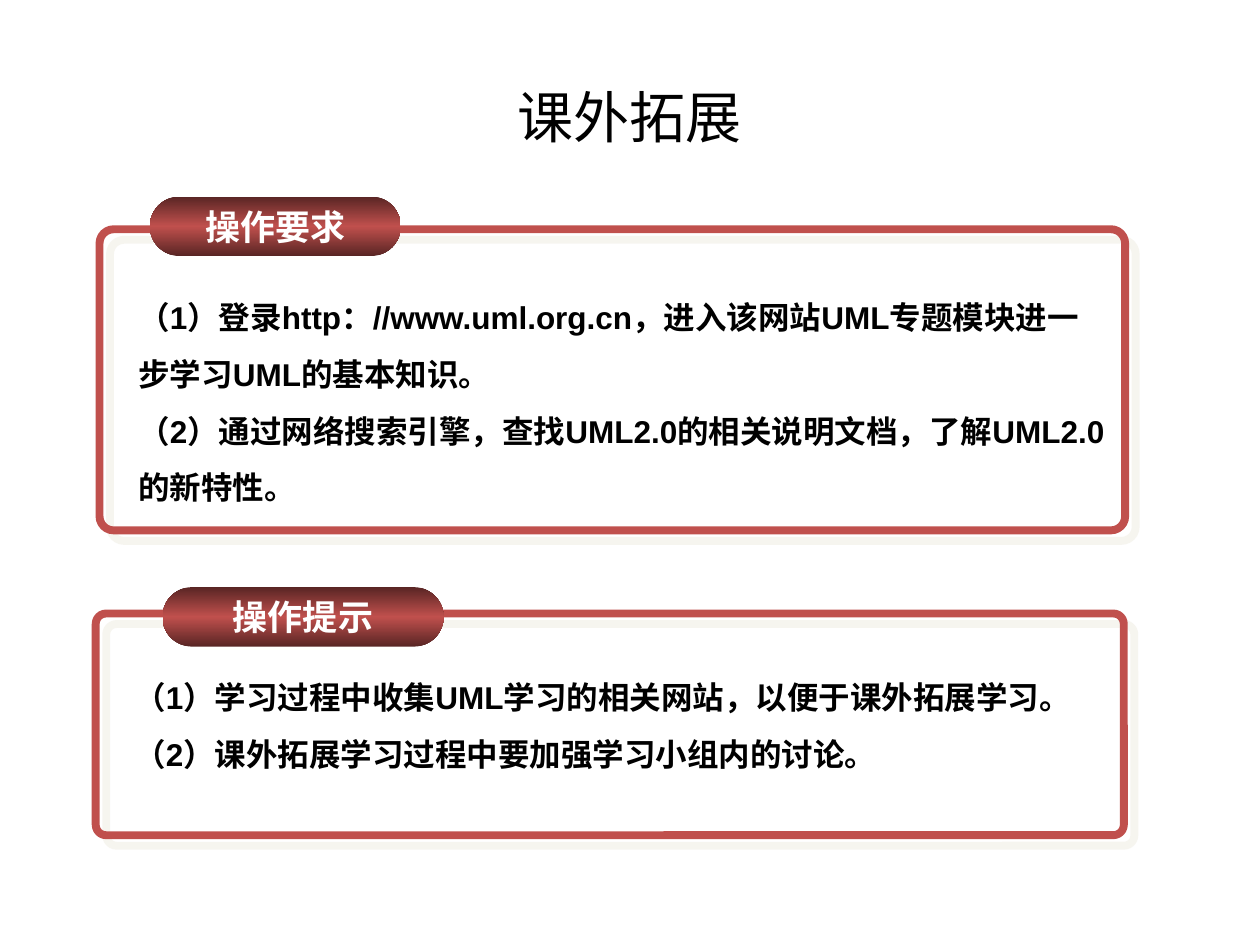
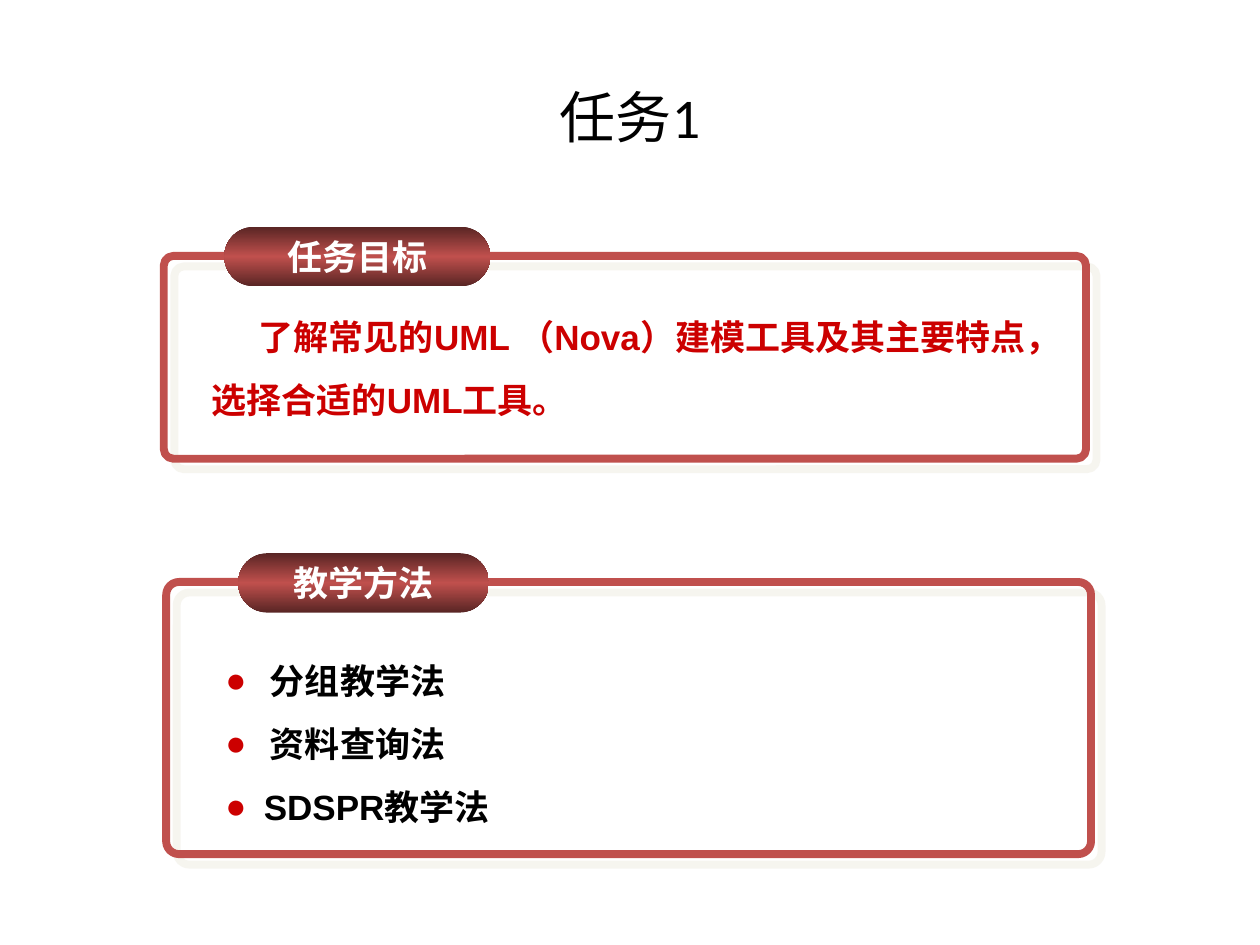
import lxml.etree
import pptx
import pptx.dml.color
import pptx.enum.shapes
import pptx.enum.text
import pptx.oxml.ns
import pptx.util

Pt = pptx.util.Pt
qn = pptx.oxml.ns.qn
CENTER = pptx.enum.text.PP_ALIGN.CENTER
MIDDLE = pptx.enum.text.MSO_ANCHOR.MIDDLE
ROUNDED = pptx.enum.shapes.MSO_SHAPE.ROUNDED_RECTANGLE


def color(value):
    return pptx.dml.color.RGBColor.from_string(value)


def add_element(parent, tag, **attributes):
    return lxml.etree.SubElement(parent, qn(tag), attributes)


def add_color(parent, value):
    return add_element(parent, "a:srgbClr", val=value)


def write_text(frame, text, size=18, font="Arial", fill="000000", bold=True,
               align=None, spacing=None, first_indent=0, hanging=None, bullet_fill=None):
    paragraph = frame.paragraphs[0]
    if paragraph.runs:
        paragraph = frame.add_paragraph()
    paragraph.alignment = align
    paragraph.line_spacing = spacing
    properties = paragraph._p.get_or_add_pPr()
    if first_indent:
        properties.set("indent", str(Pt(first_indent)))
    if hanging:
        properties.set("marL", str(Pt(hanging)))
        properties.set("indent", str(-Pt(hanging)))
        add_color(add_element(properties, "a:buClr"), bullet_fill)
        add_element(properties, "a:buFont", typeface="Arial")
        add_element(properties, "a:buChar", char="●")
    run = paragraph.add_run()
    run.text = text
    run.font.size = Pt(size)
    run.font.bold = bold
    run.font.name = font
    run.font.color.rgb = color(fill)
    add_element(run._r.get_or_add_rPr(), "a:ea", typeface="Noto Sans CJK SC")


class Deck:
    accent = "C0504D"
    accent_dark = "592524"
    shadow = "EEECE1"
    highlight = "CC0000"
    pill_height = 34

    def __init__(self):
        self.presentation = pptx.Presentation()
        self.presentation.slide_width = Pt(720)
        self.presentation.slide_height = Pt(540)
        self.slide = None

    def add_slide(self, title):
        self.slide = self.presentation.slides.add_slide(self.presentation.slide_layouts[6])
        frame = self.add_text_box(36, 21.6, 648, 90)
        frame.vertical_anchor = MIDDLE
        write_text(frame, title, size=32, font="Calibri", bold=False, align=CENTER)

    def add_text_box(self, left, top, width, height):
        shape = self.slide.shapes.add_textbox(Pt(left), Pt(top), Pt(width), Pt(height))
        shape.text_frame.word_wrap = True
        return shape.text_frame

    def add_rounded(self, left, top, width, height, rounding):
        shape = self.slide.shapes.add_shape(ROUNDED, Pt(left), Pt(top), Pt(width), Pt(height))
        shape.adjustments[0] = rounding
        shape.shadow.inherit = False
        return shape

    def add_panel(self, left, top, width, height):
        shape = self.add_rounded(left, top, width, height, 0.047)
        shape.fill.background()
        shape.line.color.rgb = color(self.accent)
        shape.line.width = Pt(4.5)
        effects = shape._element.spPr.find(qn("a:effectLst"))
        shadow = add_element(effects, "a:outerShdw", blurRad="0", dist=str(Pt(8.5)),
                             dir="2700000", algn="ctr", rotWithShape="0")
        add_element(add_color(shadow, self.shadow), "a:alpha", val="50000")

    def add_pill(self, text, left, top, width):
        shape = self.add_rounded(left, top, width, self.pill_height, 0.5)
        shape.line.fill.background()
        shape.fill.gradient()
        shape.fill.gradient_angle = 90
        stops = shape._element.spPr.find(qn("a:gradFill")).find(qn("a:gsLst"))
        stops.clear()
        for position, value in ((0, self.accent_dark), (50, self.accent), (100, self.accent_dark)):
            add_color(add_element(stops, "a:gs", pos=str(position * 1000)), value)
        frame = shape.text_frame
        frame.word_wrap = False
        frame.vertical_anchor = MIDDLE
        write_text(frame, text, size=20, font="Noto Sans CJK SC", fill="FFFFFF", align=CENTER)

    def add_section(self, heading, panel, pill, body):
        self.add_panel(*panel)
        self.add_pill(heading, *pill)
        return self.add_text_box(*body)


def build_extension(deck):
    deck.add_slide("课外拓展")
    requirements = deck.add_section("操作要求", (56.9, 131, 586.1, 172.1),
                                    (85.7, 112.3, 143.3), (72, 156.2, 566.6, 136.8))
    for text in ("（1）登录http：//www.uml.org.cn，进入该网站UML专题模块进一步学习UML的基本知识。",
                 "（2）通过网络搜索引擎，查找UML2.0的相关说明文档，了解UML2.0的新特性。"):
        write_text(requirements, text, spacing=1.5)
    hints = deck.add_section("操作提示", (54.7, 350.6, 587.5, 126.7),
                             (92.9, 335.5, 160.6), (69.8, 373, 573.8, 72))
    for text in ("（1）学习过程中收集UML学习的相关网站，以便于课外拓展学习。",
                 "（2）课外拓展学习过程中要加强学习小组内的讨论。"):
        write_text(hints, text, spacing=1.5)


def build_task(deck):
    deck.add_slide("任务1")
    goal = deck.add_section("任务目标", (93.6, 146.2, 527, 115.9),
                            (128.2, 129.6, 151.9), (113.8, 164.9, 486.7, 79.2))
    write_text(goal, "了解常见的UML （Nova）建模工具及其主要特点，选择合适的UML工具。",
               size=20, fill=deck.highlight, spacing=1.5, first_indent=27)
    methods = deck.add_section("教学方法", (95, 332.6, 528.5, 155.5),
                               (136.1, 316.1, 143.3), (121.7, 361.4, 499.7, 115.2))
    for text, hanging in (("分组教学法", 25.5), ("资料查询法", 25.5), ("SDSPR教学法", 22)):
        write_text(methods, text, size=20, spacing=1.5, hanging=hanging,
                   bullet_fill=deck.highlight)


def main():
    deck = Deck()
    build_extension(deck)
    build_task(deck)
    deck.presentation.save("out.pptx")


if __name__ == "__main__":
    main()
